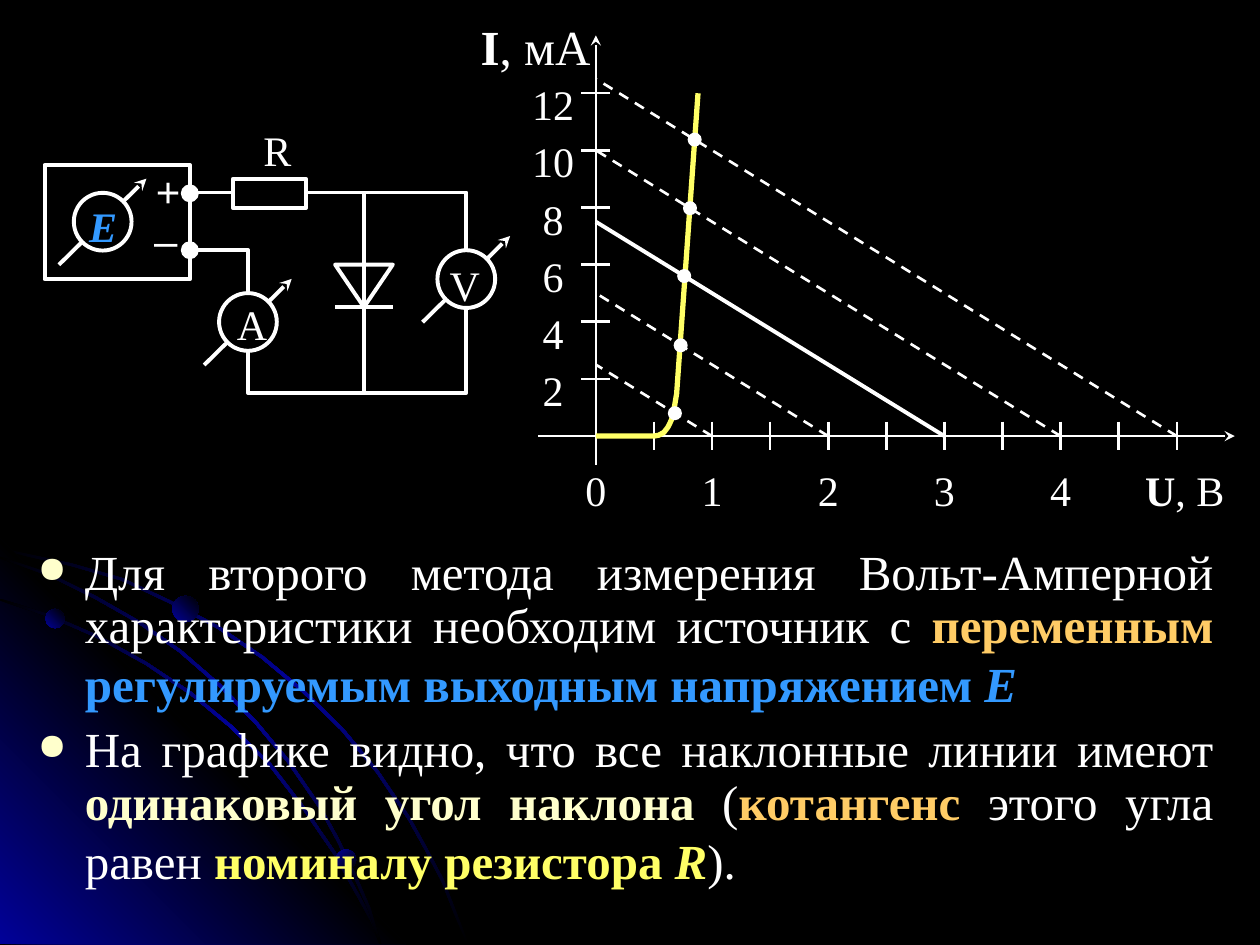
from lxml import etree
from pptx import Presentation
from pptx.dml.color import RGBColor
from pptx.enum.dml import MSO_LINE
from pptx.enum.shapes import MSO_CONNECTOR, MSO_SHAPE
from pptx.enum.text import PP_ALIGN
from pptx.oxml.ns import qn
from pptx.util import Pt

DASH, LINE = MSO_LINE.DASH, MSO_CONNECTOR.STRAIGHT
OVAL, RECT = MSO_SHAPE.OVAL, MSO_SHAPE.RECTANGLE
MID, JUST = PP_ALIGN.CENTER, PP_ALIGN.JUSTIFY
SERIF, SANS = "Times New Roman", "Arial"
HUES = {"white": "FFFFFF", "black": "000000", "navy": "010199", "sky": "3399FF",
        "gold": "FFCC66", "cream": "FFFFCC", "lemon": "FFFF66"}

# Body text: (words, colour, style)
BODY = [
    [("Для второго метода измерения Вольт-Амперной характеристики "
      "необходим источник с ", "white", ""),
     ("переменным ", "gold", "b"),
     ("регулируемым выходным напряжением ", "sky", "b"),
     ("Е", "sky", "bi"), (" ", "white", "end")],
    [("На графике видно, что все наклонные линии имеют ", "white", ""),
     ("одинаковый угол наклона", "cream", "b"), (" (", "white", ""),
     ("котангенс", "gold", "b"), (" этого угла равен ", "white", ""),
     ("номиналу резистора ", "lemon", "b"), ("R", "lemon", "bi"),
     (").", "white", ""), (" ", "white", "end")],
]

# Backdrop: upper edges of the arcs, then balls as (left, top, size, angle)
ARCS = [
    [(0, 313), (20, 317.5), (41, 322), (70.5, 330.5), (98, 343.5), (125.5, 358),
     (150.5, 375), (174, 394.5), (196, 416), (216, 440), (234, 466.5),
     (244, 484.5), (253.5, 502.5), (260.5, 520.5), (268, 539.5)],
    [(0, 342), (29.5, 351.5), (57, 363.5), (84, 378.5), (109.5, 395.5),
     (132.5, 414.5), (155, 436.5), (174, 461), (191.5, 486.5), (206, 512.5),
     (213, 525.5), (218, 539.5)],
    [(0, 318), (28, 327.5), (54.5, 340.5), (80, 355), (103.5, 371.5), (126, 391),
     (147, 412.5), (165, 434), (183, 460), (193.5, 479), (203, 499),
     (211.5, 518.5), (218, 539.5)],
]
BALLS = [(26, 348, 11, 315), (192, 485.5, 11.5, 45), (98.5, 340.5, 15, 315)]
CORNER = [(232, 539.5), (0, 539.5), (0, 307.5)]

# Graph: origin, points per volt and per milliampere
X0, Y0, VOLT, AMP = 340.5, 249.2, 66.4, 16.33
TICK = 8.2
CROSS = {1: 0.68, 2: 0.73, 3: 0.76, 4: 0.81, 5: 0.85}  # source volts: diode volts
DIODE = [(X0, Y0), (373.7, Y0), (376.5, 248.7), (379.4, 247.1), (381.8, 244),
         (383.8, 239.8), (385.5, 232), (386.7, 225), (398.9, 53.3)]

# Circuit: wires, boxes, meters as (centre x, centre y), terminals
WIRES = [
    [(108.5, 110), (133, 110)],
    [(175, 110), (266.5, 110), (266.5, 143)],
    [(208, 110), (208, 224.5)],
    [(191.5, 175.5), (224.5, 175.5)],
    [(191.5, 151.2), (224.5, 151.2), (208, 175.5), (191.5, 151.2)],
    [(108.5, 143), (141.7, 143), (141.7, 167.5)],
    [(141.7, 200), (141.7, 224.5), (266.5, 224.5), (266.5, 175.5)],
]
BOXES = [(25.5, 94.3, 83, 65.3), (133, 102.3, 42, 16.5)]
METERS = [(58.7, 126.7), (141.7, 184), (266.5, 159.5)]
ENDS = [(108.5, 110.5), (108.5, 143)]
# Labels: (centre x, top, runs, size, font); a run is (words, colour, style)
LABELS = [
    (306, 9.4, [("I", "white", "b"), (", мА", "white", "")], 28, SERIF),
    (677, 265.7, [("U", "white", "b"), (", В", "white", "")], 24, SERIF),
    (158.5, 71.3, [("R", "white", "")], 24, SERIF),
    (59, 114.5, [("Е", "sky", "bi")], 24, SERIF),
    (144, 170.6, [("А", "white", "")], 24, SERIF),
    (265.6, 148.3, [("V", "white", "")], 24, SERIF),
    (96.1, 94.3, [("+", "white", "")], 24, SANS),
    (94.7, 122.4, [("–", "white", "")], 24, SANS),
]
LABELS += [(316, Y0 - n * AMP - TICK, [(str(n), "white", "")], 24, SERIF)
           for n in range(2, 13, 2)]
LABELS += [(X0 + n * VOLT, 265.7, [(str(n), "white", "")], 24, SERIF)
           for n in range(5)]

deck = Presentation()
deck.slide_width, deck.slide_height = Pt(720), Pt(540)
slide = deck.slides.add_slide(deck.slide_layouts[6])
shapes = slide.shapes


def rgb(hue):
    return RGBColor.from_string(HUES[hue])


slide.background.fill.solid()
slide.background.fill.fore_color.rgb = rgb("black")


def stroke(item, hue, width):
    item.line.color.rgb = rgb(hue)
    item.line.width = Pt(width)


def paint(item, fill=None, width=2.25, hue="white"):
    item.shadow.inherit = False
    if fill:
        item.fill.solid()
        item.fill.fore_color.rgb = rgb(fill)
    else:
        item.fill.background()
    stroke(item, hue, width)


def blend(item, hues, angle):
    item.shadow.inherit = False
    item.line.fill.background()
    item.fill.gradient()
    item.fill.gradient_angle = (360 - angle) % 360
    stops = item.element.spPr.find(qn("a:gradFill")).find(qn("a:gsLst"))
    for old in list(stops):
        stops.remove(old)
    for n, hue in enumerate(hues):
        stop = etree.SubElement(stops, qn("a:gs"), pos=str(n * 100000 // (len(hues) - 1)))
        etree.SubElement(stop, qn("a:srgbClr"), val=HUES[hue])


def outline(dots, close=False):
    dots = [(Pt(x), Pt(y)) for x, y in dots]
    form = shapes.build_freeform(*dots[0], scale=1.0)
    form.add_line_segments(dots[1:], close=close)
    return form.convert_to_shape()


def line(x1, y1, x2, y2, width=1.5, dash=False, arrow=False):
    item = shapes.add_connector(LINE, Pt(x1), Pt(y1), Pt(x2), Pt(y2))
    stroke(item, "white", width)
    if dash:
        item.line.dash_style = DASH
    if arrow:
        etree.SubElement(item.line._get_or_add_ln(), qn("a:tailEnd"), type="stealth")
    etree.SubElement(item.element.spPr, qn("a:effectLst"))


def shape(kind, left, top, wide, high):
    return shapes.add_shape(kind, Pt(left), Pt(top), Pt(wide), Pt(high))


def disc(x, y, size, fill, width=2.25):
    paint(shape(OVAL, x - size / 2, y - size / 2, size, size), fill, width)


def write(para, runs, size, face):
    for words, hue, style in runs:
        run = para.add_run()
        run.text = words
        font = run.font
        font.size, font.name = Pt(size), face
        font.bold, font.italic = style in ("b", "bi"), style == "bi"
        font.color.rgb = rgb(hue)
        if style == "end":
            font.size, font.name = Pt(32), SANS


# Backdrop
for n, arc in enumerate(ARCS):
    if n == 1:
        blend(outline(CORNER, True), ["navy", "black", "navy"], 315)
    under = [(max(0, x - 1.2), min(539.5, y + 1.2)) for x, y in reversed(arc)]
    blend(outline(arc + under, True), ["black", "navy", "black"], 45)
for left, top, size, angle in BALLS:
    blend(shape(OVAL, left, top, size, size), ["navy", "black"], angle)

# Body
frame = shapes.add_textbox(Pt(14.4), Pt(309.6), Pt(686), Pt(215.3)).text_frame
frame.word_wrap = True
for n, runs in enumerate(BODY):
    para = frame.add_paragraph() if n else frame.paragraphs[0]
    para.alignment, para.line_spacing, para.space_before = JUST, 0.9, Pt(6)
    props = para._p.get_or_add_pPr()
    props.set("marL", str(Pt(27)))
    props.set("indent", str(Pt(-27)))
    tint = etree.SubElement(props, qn("a:buClr"))
    etree.SubElement(tint, qn("a:srgbClr"), val=HUES["cream"])
    etree.SubElement(props, qn("a:buSzPct"), val="75000")
    etree.SubElement(props, qn("a:buChar"), char="●")
    write(para, runs, 28, SERIF)

# Graph
for volts in CROSS:
    main = volts == 3
    line(X0 + volts * VOLT, Y0, X0, Y0 - 2.5 * volts * AMP, 2.25 if main else 1.5, not main)
line(X0, 265.7, X0, 20.2, arrow=True)
line(307.5, Y0, 705.6, Y0, arrow=True)
for n in range(1, 11):
    x = X0 + n * VOLT / 2
    line(x, Y0 - TICK, x, Y0 + TICK)
for n in range(2, 13, 2):
    y = Y0 - n * AMP
    line(X0 - TICK, y, X0 + TICK, y)
paint(outline(DIODE), None, 3, "lemon")
for volts, drop in CROSS.items():
    disc(X0 + drop * VOLT, Y0 - 2.5 * (volts - drop) * AMP, 6.5, "white", 1.5)

# Circuit
for box in BOXES:
    paint(shape(RECT, *box))
for wire in WIRES:
    paint(outline(wire))
for x, y in METERS:
    line(x - 25, y + 24.6, x + 25, y - 24.6, 2.25, arrow=True)
    disc(x, y, 33, "black")
for x, y in ENDS:
    disc(x, y, 8, "white")

# Labels
for x, top, runs, size, face in LABELS:
    frame = shapes.add_textbox(Pt(x - 37), Pt(top), Pt(74), Pt(size + 6)).text_frame
    frame.margin_left = frame.margin_right = frame.margin_top = frame.margin_bottom = 0
    frame.paragraphs[0].alignment = MID
    write(frame.paragraphs[0], runs, size, face)

deck.save("out.pptx")
